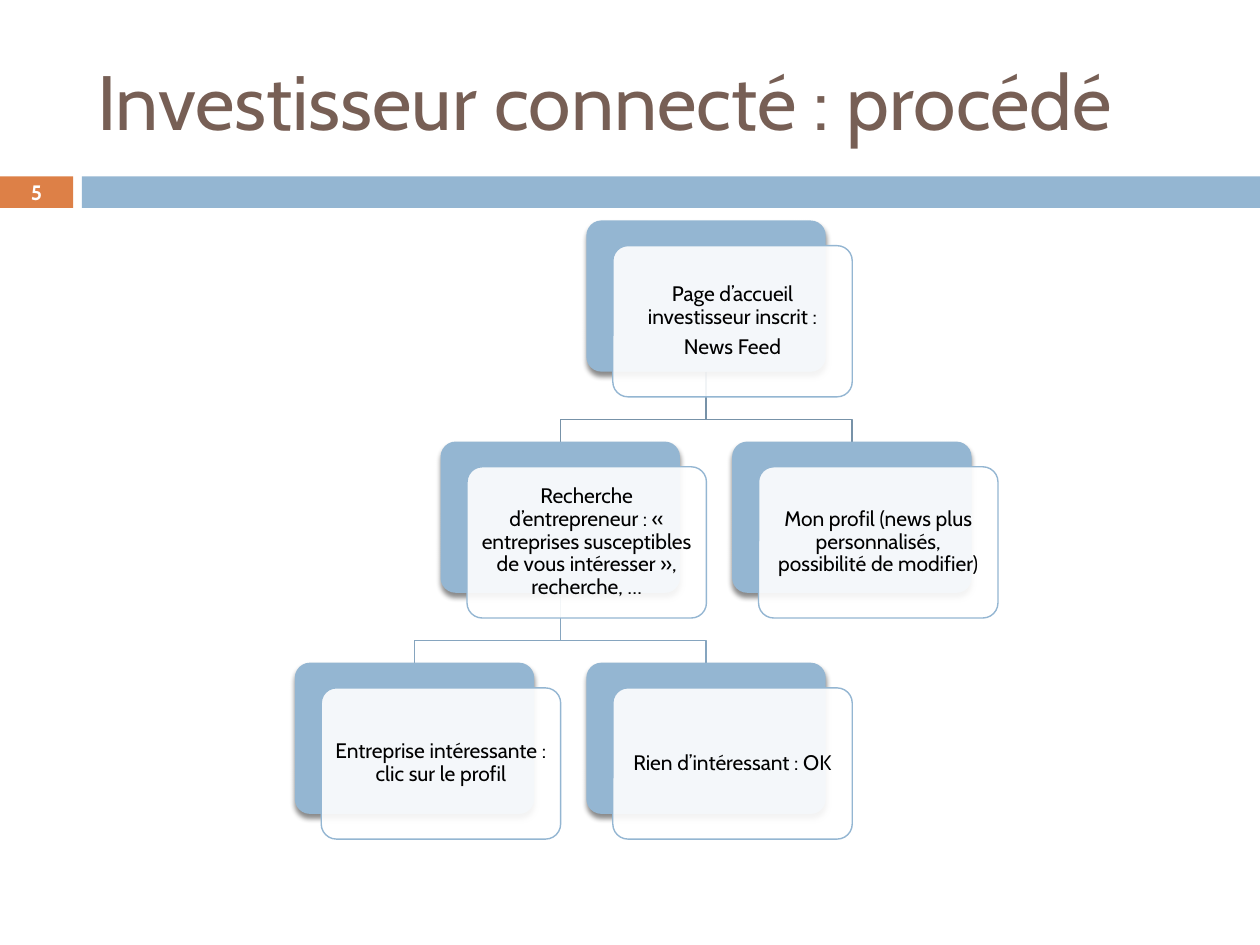
"""Build the slide that charts the path of a connected investor."""
from dataclasses import dataclass

from lxml.etree import SubElement
from pptx import Presentation
from pptx.dml.color import RGBColor
from pptx.enum.shapes import MSO_SHAPE as Shape
from pptx.enum.text import MSO_ANCHOR as Anchor, MSO_AUTO_SIZE as AutoSize, PP_ALIGN as Align
from pptx.oxml.ns import qn
from pptx.util import Inches, Pt

COLORS = {
    "bar": "94B6D2", "number": "DD8047", "title": "775F55", "white": "FFFFFF",
    "text": "000000", "upper link": "7792A8", "lower link": "86A5BF",
}
FONT = "Cabin"
LINE_WIDTH = Pt(0.79)
GRID_LEFT, GRID_TOP = 2.34, 1.75
COLUMN_STEP, ROW_STEP = 1.157, 1.755
CARD_WIDTH, CARD_HEIGHT = 1.9, 1.2
FRONT_SHIFT = 0.21, 0.2
BEND = 0.38
BAND_TOP, BAND_HEIGHT, NUMBER_WIDTH, BAR_LEFT = 1.4, 0.25, 0.58, 0.65


@dataclass(frozen=True)
class Card:
    """A step of the tree, placed by column and row."""
    column: int
    row: int
    paragraphs: tuple[str, ...]

    @property
    def left(self) -> float:
        """Left edge of the back plate in inches."""
        return GRID_LEFT + self.column * COLUMN_STEP

    @property
    def top(self) -> float:
        """Top edge of the back plate in inches."""
        return GRID_TOP + self.row * ROW_STEP

    @property
    def center(self) -> float:
        """Horizontal middle of the back plate in inches."""
        return self.left + CARD_WIDTH / 2


HOME = Card(2, 0, ("Page d’accueil investisseur inscrit :", "News Feed"))
SEARCH = Card(1, 1, ("Recherche d’entrepreneur : « entreprises susceptibles de vous "
                     "intéresser », recherche, …",))
PROFILE = Card(3, 1, ("Mon profil (news plus personnalisés, possibilité de modifier)",))
INTERESTING = Card(0, 2, ("Entreprise intéressante : clic sur le profil",))
NOTHING = Card(2, 2, ("Rien d’intéressant : OK",))
CARDS = (HOME, SEARCH, INTERESTING, NOTHING, PROFILE)
LINKS = (
    (HOME, PROFILE, "upper link"), (SEARCH, NOTHING, "lower link"),
    (SEARCH, INTERESTING, "lower link"), (HOME, SEARCH, "upper link"),
)


def color(name: str) -> RGBColor:
    """Return the named colour."""
    return RGBColor.from_string(COLORS[name])


def apply(target, values: dict) -> None:
    """Set each attribute in values on target."""
    for name, value in values.items():
        setattr(target, name, value)


def add_box(slide, kind, left: float, top: float, width: float, height: float, fill: str):
    """Add a plain filled shape without outline or shadow."""
    shape = slide.shapes.add_shape(kind, *map(Inches, (left, top, width, height)))
    shape.shadow.inherit = False
    shape.fill.solid()
    shape.fill.fore_color.rgb = color(fill)
    shape.line.fill.background()
    return shape


def write(shape, paragraphs: tuple[str, ...], ink: str, size: float, align=Align.CENTER,
          margin: float = 0.05, bold: bool = False, spacing: float = 1, after: float = 0) -> None:
    """Write formatted paragraphs into a shape."""
    frame = shape.text_frame
    frame.text = "\n".join(paragraphs)
    apply(frame, {
        "word_wrap": True, "auto_size": AutoSize.NONE, "vertical_anchor": Anchor.MIDDLE,
        **{f"margin_{side}": Inches(margin) for side in ("left", "top", "right", "bottom")},
    })
    for paragraph in frame.paragraphs:
        apply(paragraph, {"alignment": align, "line_spacing": spacing,
                          "space_before": Pt(0), "space_after": Pt(after)})
        for run in paragraph.runs:
            apply(run.font, {"name": FONT, "size": Pt(size), "bold": bold})
            run.font.color.rgb = color(ink)


def add_alpha(element, percent: int) -> None:
    """Give a colour element an opacity."""
    SubElement(element, qn("a:alpha"), val=str(percent * 1000))


def add_shadow(shape) -> None:
    """Cast a soft shadow straight down."""
    effects = shape._element.spPr.find(qn("a:effectLst"))
    shadow = SubElement(effects, qn("a:outerShdw"), blurRad=str(Pt(3)), dist=str(Pt(2.4)),
                        dir="5400000", rotWithShape="0")
    add_alpha(SubElement(shadow, qn("a:srgbClr"), val=COLORS["text"]), 45)


def add_link(slide, parent: Card, child: Card, ink: str) -> None:
    """Draw the bent line from a parent down to a child."""
    start = parent.top + CARD_HEIGHT
    points = [(parent.center, start), (parent.center, start + BEND),
              (child.center, start + BEND), (child.center, child.top)]
    first, *rest = [(Inches(x), Inches(y)) for x, y in points]
    builder = slide.shapes.build_freeform(*first)
    builder.add_line_segments(rest, close=False)
    link = builder.convert_to_shape()
    link.shadow.inherit = False
    link.fill.background()
    link.line.color.rgb = color(ink)
    link.line.width = LINE_WIDTH


def add_card(slide, card: Card) -> None:
    """Draw a back plate and the translucent front plate with its text."""
    size = CARD_WIDTH, CARD_HEIGHT
    shift_x, shift_y = FRONT_SHIFT
    back = add_box(slide, Shape.ROUNDED_RECTANGLE, card.left, card.top, *size, "bar")
    front = add_box(slide, Shape.ROUNDED_RECTANGLE, card.left + shift_x, card.top + shift_y,
                    *size, "white")
    for plate in (back, front):
        plate.adjustments[0] = 0.1
    add_shadow(back)
    add_alpha(front._element.spPr.find(qn("a:solidFill"))[0], 90)
    front.line.color.rgb = color("bar")
    front.line.width = LINE_WIDTH
    write(front, card.paragraphs, "text", 12, spacing=0.9, after=4.2)


def main() -> None:
    """Build and save the presentation."""
    presentation = Presentation()
    apply(presentation, {"slide_width": Inches(10), "slide_height": Inches(7.5)})
    slide = presentation.slides.add_slide(presentation.slide_layouts[5])
    title = slide.shapes.title
    apply(title, {"left": Inches(0.67), "top": Inches(0.25),
                  "width": Inches(8.92), "height": Inches(1.08)})
    write(title, ("Investisseur connecté : procédé",), "title", 44, Align.LEFT, margin=0.1)
    number = add_box(slide, Shape.RECTANGLE, 0, BAND_TOP, NUMBER_WIDTH, BAND_HEIGHT, "number")
    write(number, ("5",), "white", 11.9, margin=0, bold=True)
    add_box(slide, Shape.RECTANGLE, BAR_LEFT, BAND_TOP, 10 - BAR_LEFT, BAND_HEIGHT, "bar")
    for link in LINKS:
        add_link(slide, *link)
    for card in CARDS:
        add_card(slide, card)
    presentation.save("out.pptx")


if __name__ == "__main__":
    main()
